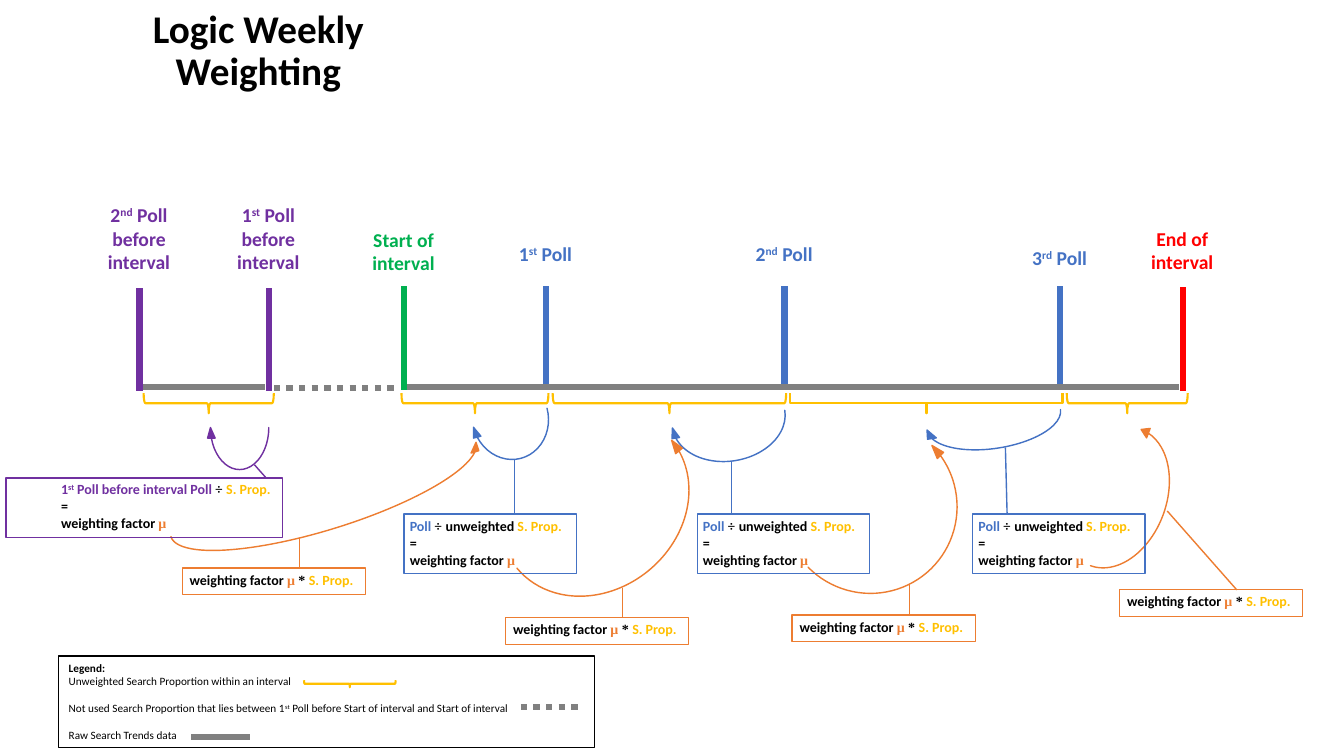
from lxml import etree
from pptx import Presentation
from pptx import util as u
from pptx.dml.color import RGBColor
from pptx.enum import dml, shapes, text
from pptx.oxml.ns import qn

BLACK = RGBColor(0x00, 0x00, 0x00)
GRAY = RGBColor(0x80, 0x80, 0x80)
PURPLE = RGBColor(0x70, 0x30, 0xA0)
GREEN = RGBColor(0x00, 0xB0, 0x50)
RED = RGBColor(0xFF, 0x00, 0x00)
BLUE = RGBColor(0x44, 0x72, 0xC4)
GOLD = RGBColor(0xFF, 0xC0, 0x00)
ORANGE = RGBColor(0xED, 0x7D, 0x31)

# The slide is a grid of 160 columns by 90 rows
WIDTH, HEIGHT = u.Inches(13.333), u.Inches(7.5)
COLUMNS, ROWS = 160, 90
SANS, SERIF = "Calibri", "Times New Roman"
PRESET = shapes.MSO_SHAPE

# Runs are (text, format values)
PROPORTION = ("S. Prop.", {"color": GOLD})
DIVIDE = ("÷ ", {"name": SERIF})
FACTOR_LINES = [[("=", {})],
                [("weighting factor ", {}), ("μ", {"name": SERIF, "color": ORANGE})]]
POLL_FORMULA = [[("Poll ", {"color": BLUE}), DIVIDE, ("unweighted ", {}), PROPORTION]] + FACTOR_LINES
EARLY_FORMULA = [[("1", {"color": PURPLE}), ("st", {"color": PURPLE, "raised": True}),
                  (" Poll before interval Poll ", {"color": PURPLE}), DIVIDE, PROPORTION]] + FACTOR_LINES
WEIGHTED = [[("weighting factor ", {}), ("μ ", {"name": SERIF, "color": ORANGE}),
             ("* ", {"name": SERIF}), PROPORTION]]


def column(value):
    return round(WIDTH * value / COLUMNS)


def row(value):
    return round(HEIGHT * value / ROWS)


def frame(left, top, width, height):
    return column(left), row(top), column(width), row(height)


def write(shape, paragraphs, size, bold=True, color=BLACK, align=text.PP_ALIGN.LEFT,
          anchor=text.MSO_ANCHOR.TOP, spacing=None):
    text_frame = shape.text_frame
    for key, value in {"word_wrap": True, "vertical_anchor": anchor}.items():
        setattr(text_frame, key, value)
    for index, runs in enumerate(paragraphs):
        paragraph = text_frame.add_paragraph() if index else text_frame.paragraphs[0]
        for key, value in {"alignment": align, "line_spacing": spacing}.items():
            setattr(paragraph, key, value)
        for words, values in runs:
            run = paragraph.add_run()
            run.text = words
            values = {"name": SANS, "size": u.Pt(size), "bold": bold, "color": color, **values}
            run.font.color.rgb = values.pop("color")
            if values.pop("raised", False):
                run.font._element.set("baseline", "30000")
            for key, value in values.items():
                setattr(run.font, key, value)


def add_text(slide, box, paragraphs, size, **options):
    shape = slide.shapes.add_textbox(*frame(*box))
    write(shape, paragraphs, size, **options)


def add_bar(slide, start, end, color, dash=None):
    line = slide.shapes.add_connector(shapes.MSO_CONNECTOR.STRAIGHT, column(start[0]), row(start[1]),
                                      column(end[0]), row(end[1]))
    line.line.color.rgb = color
    line.line.width = u.Pt(4.5)
    if dash:
        line.line.dash_style = dash
    etree.SubElement(line._element.spPr, qn("a:effectLst"))


def add_outline(slide, preset, box, color, width=1, rotation=0, adjustments=(), filled=False):
    shape = slide.shapes.add_shape(preset, *frame(*box))
    shape.shadow.inherit = False
    shape.rotation = rotation
    shape.line.color.rgb = color
    shape.line.width = u.Pt(width)
    if filled:
        shape.fill.solid()
        shape.fill.fore_color.rgb = color
    else:
        shape.fill.background()
    for index, value in enumerate(adjustments):
        shape.adjustments[index] = value
    return shape


def add_brace(slide, left, middle, length, depth=2.4, adjustments=()):
    """Draw a brace that lies flat and points down."""
    box = (left + (length - depth) / 2, middle - length / 2, depth, length)
    add_outline(slide, PRESET.LEFT_BRACE, box, GOLD, 1.5, 270, adjustments)


def add_marker(slide, position, top, bottom, color, label, label_top, label_height):
    add_bar(slide, (position, top), (position, bottom), color)
    add_text(slide, (position - 5.2, label_top, 10.3, label_height), [label], 14,
             color=color, align=text.PP_ALIGN.CENTER)


def ordinal(number, suffix, rest):
    return [(number, {}), (suffix, {"raised": True}), (rest, {})]


def add_callout(slide, box, color, pointer, text_box, paragraphs):
    add_outline(slide, PRESET.LINE_CALLOUT_1, box, color, adjustments=pointer)
    add_text(slide, text_box, paragraphs, 10)


def add_legend(slide):
    box = add_outline(slide, PRESET.RECTANGLE, (7, 78.1, 63.8, 10.9), BLACK)
    write(box, [
        [("Legend:", {"bold": True})],
        [("Unweighted Search Proportion within an interval", {})],
        ordinal("Not used Search Proportion that lies between 1", "st",
                " Poll before Start of interval and Start of interval"),
        [("Raw Search Trends data", {})],
    ], 8, bold=False)
    for paragraph in box.text_frame.paragraphs[2:]:
        paragraph.space_before = u.Pt(9.8)
    add_brace(slide, 36.2, 81.4, 10.9, depth=0.84)
    add_bar(slide, (62, 84.2), (69, 84.2), GRAY, dml.MSO_LINE.ROUND_DOT)
    add_bar(slide, (22.8, 87.7), (29.8, 87.7), GRAY)


def main():
    presentation = Presentation()
    presentation.slide_width, presentation.slide_height = WIDTH, HEIGHT
    slide = presentation.slides.add_slide(presentation.slide_layouts[6])

    # Title
    add_text(slide, (7, 3.5, 47.5, 8.3), [[("Logic Weekly Weighting", {})]], 28,
             align=text.PP_ALIGN.CENTER, anchor=text.MSO_ANCHOR.BOTTOM, spacing=0.9)

    # Time line and its markers
    for start, end, level, dash in [(48.1, 140.4, 46.1, None), (16.8, 31.6, 46.1, None),
                                    (32.6, 47.4, 46.2, dml.MSO_LINE.ROUND_DOT)]:
        add_bar(slide, (start, level), (end, level), GRAY, dash)
    for marker in [
        (16.6, 34.3, 46.6, PURPLE, ordinal("2", "nd", " Poll before interval"), 23.6, 9.7),
        (32, 34.3, 46.6, PURPLE, ordinal("1", "st", " Poll before interval"), 23.6, 9.7),
        (48.1, 34.1, 46.4, GREEN, [("Start of interval", {})], 26.5, 4.8),
        (65, 34.1, 45.7, BLUE, ordinal("1", "st", " Poll"), 28.2, 2.6),
        (93.4, 34.1, 45.7, BLUE, ordinal("2", "nd", " Poll"), 28.2, 2.6),
        (126.2, 34.1, 45.7, BLUE, ordinal("3", "rd", " Poll"), 28.7, 2.6),
        (140.8, 34.2, 46.6, RED, [("End of interval", {})], 26.4, 6.8),
    ]:
        add_marker(slide, *marker)

    # Braces below the intervals
    for left, length, adjustments in [(17.1, 15.5, ()), (47.8, 17.5, ()), (65.8, 27.8, ()),
                                      (94.1, 32.4, (0, 0.5)), (127, 14.4, ())]:
        add_brace(slide, left, 48, length, adjustments=adjustments)

    # Arrows from polls back to their interval, and from factors on to the next one
    down, up = PRESET.CURVED_DOWN_ARROW, PRESET.CURVED_UP_ARROW
    for preset, box, color, rotation, adjustments in [
        (down, (24.6, 50.9, 7.4, 5), PURPLE, 180, (0, 0.18, 0.25)),
        (down, (56.4, 49.7, 9.5, 5), BLUE, 165.5, (0, 0.18, 0.25)),
        (down, (79.9, 49.9, 14, 5), BLUE, 171.1, (0, 0.18, 0.25)),
        (down, (110, 50, 16.6, 3.4), BLUE, 171.3, (0, 0.31, 0.32)),
        (up, (20.2, 58.1, 38.5, 4.8), ORANGE, 342.8, (0, 0.2, 0.22)),
        (up, (62, 58.7, 24.4, 10.2), ORANGE, 320.4, (0, 0.1, 0.15)),
        (up, (96.8, 58.6, 21.2, 10.4), ORANGE, 315.5, (0, 0.1, 0.15)),
        (up, (126.8, 57, 17.9, 6), ORANGE, 290.4, (0, 0.2, 0.16)),
    ]:
        add_outline(slide, preset, box, color, 1, rotation, adjustments, filled=True)

    # Callouts with the formula of each factor
    add_callout(slide, (0.7, 56.9, 32.9, 7.1), PURPLE, (-0.22, 0.9, -0.01, 0.94),
                (6.1, 56.6, 32.9, 9.2), EARLY_FORMULA)
    for left, pointer in [(48.1, (-0.92, 0.64, 0.01, 0.64)), (83, (-0.87, 0.2, 0, 0.2)),
                          (115.8, (-1.12, 0.19, 0, 0.2))]:
        add_callout(slide, (left, 61.2, 20.5, 7.1), BLUE, pointer,
                    (left - 0.5, 61, 21.9, 7.3), POLL_FORMULA)

    # Callouts with the weighted proportion
    short, long = (-1.11, 0.64, 0.01, 0.64), (-2.93, 0.26, 0.01, 0.64)
    for left, top, pointer in [(21.7, 67.6, short), (60.2, 73.5, short),
                               (94.3, 73.2, short), (133.3, 70.2, long)]:
        add_callout(slide, (left, top, 21.8, 3.2), ORANGE, pointer,
                    (left - 0.3, top - 0.2, 22.7, 5.3), WEIGHTED)

    add_legend(slide)
    presentation.save("out.pptx")


if __name__ == "__main__":
    main()
